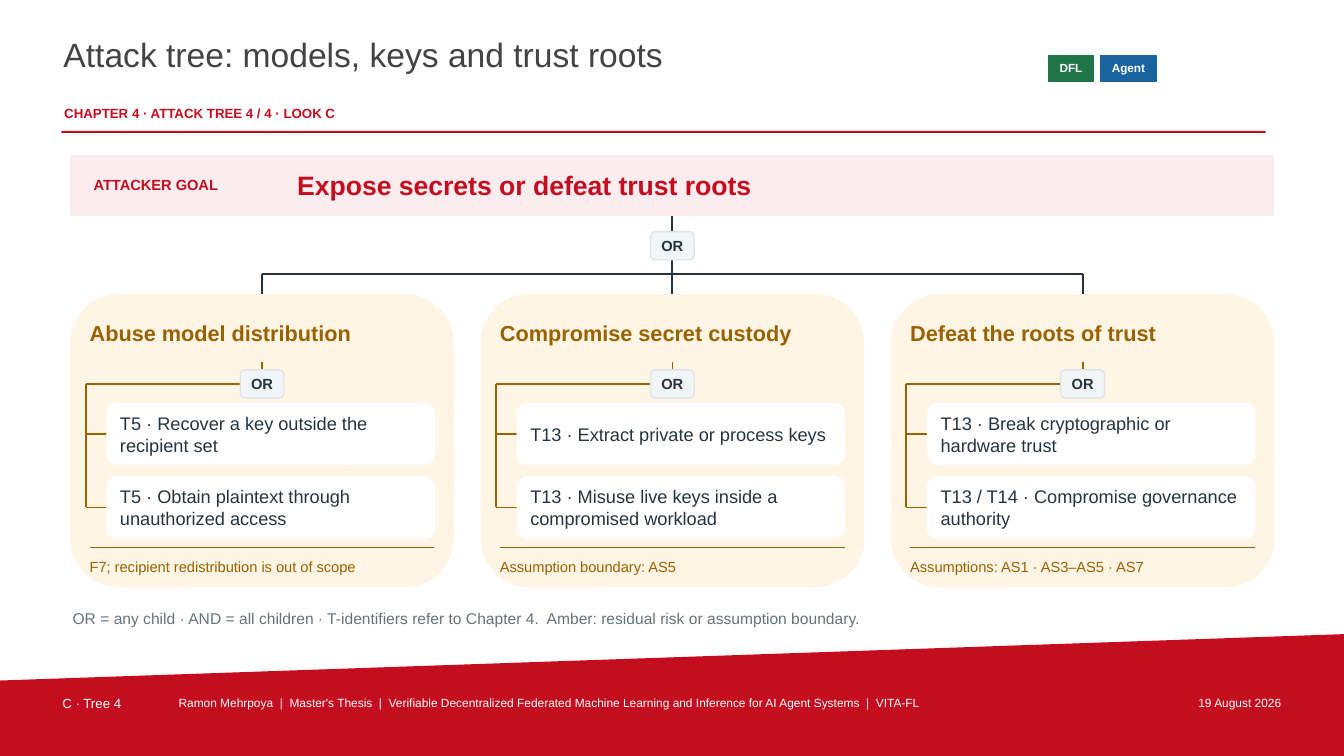
from lxml import etree
from pptx import Presentation
from pptx.dml.color import RGBColor
from pptx.enum.shapes import MSO_CONNECTOR, MSO_SHAPE
from pptx.enum.text import MSO_ANCHOR, MSO_AUTO_SIZE, PP_ALIGN
from pptx.oxml.ns import qn
from pptx.util import Cm, Pt

RECT = MSO_SHAPE.RECTANGLE
ROUND = MSO_SHAPE.ROUNDED_RECTANGLE
STRAIGHT = MSO_CONNECTOR.STRAIGHT
TOP, MIDDLE = MSO_ANCHOR.TOP, MSO_ANCHOR.MIDDLE
LEFT, CENTER, RIGHT = PP_ALIGN.LEFT, PP_ALIGN.CENTER, PP_ALIGN.RIGHT
NONE = MSO_AUTO_SIZE.NONE

RED = RGBColor(0xC4, 0x0D, 0x1E)
PINK = RGBColor(0xFB, 0xEC, 0xEF)
CREAM = RGBColor(0xFF, 0xF5, 0xE5)
AMBER = RGBColor(0x9A, 0x61, 0x00)
INK = RGBColor(0x26, 0x34, 0x40)
GRAY = RGBColor(0x65, 0x73, 0x7D)
DARK = RGBColor(0x43, 0x43, 0x43)
PALE = RGBColor(0xF2, 0xF5, 0xF7)
EDGE = RGBColor(0xDC, 0xE3, 0xE8)
GREEN = RGBColor(0x20, 0x75, 0x48)
BLUE = RGBColor(0x17, 0x64, 0xA1)
WHITE = RGBColor(0xFF, 0xFF, 0xFF)

WIDE, HIGH = 33.87, 19.05
EDGE_X, STEP, CARD_W = 1.78, 10.34, 9.65
CARD_Y, LEAF_Y, LEAF_GAP, LEAF_H = 7.42, 10.16, 1.85, 1.55

CARDS = [
    ("Abuse model distribution",
     ["T5 · Recover a key outside the recipient set",
      "T5 · Obtain plaintext through unauthorized access"],
     "F7; recipient redistribution is out of scope"),
    ("Compromise secret custody",
     ["T13 · Extract private or process keys",
      "T13 · Misuse live keys inside a compromised workload"],
     "Assumption boundary: AS5"),
    ("Defeat the roots of trust",
     ["T13 · Break cryptographic or hardware trust",
      "T13 / T14 · Compromise governance authority"],
     "Assumptions: AS1 · AS3–AS5 · AS7"),
]


class Page:
    face = "Arial"

    def __init__(self, slide):
        self.slide = slide
        self.shapes = slide.shapes

    def label(self, shape, words, size, color, bold=False, align=LEFT,
              anchor=MIDDLE, pad=0.0, side=None):
        side = pad if side is None else side
        frame = shape.text_frame
        look = {"word_wrap": True, "auto_size": NONE,
                "vertical_anchor": anchor,
                "margin_left": Cm(side), "margin_right": Cm(side),
                "margin_top": Cm(pad), "margin_bottom": Cm(pad)}
        for key, value in look.items():
            setattr(frame, key, value)
        part = frame.paragraphs[0]
        part.alignment = align
        run = part.add_run()
        run.text = words
        for key, value in {"name": self.face, "size": Pt(size),
                           "bold": bold}.items():
            setattr(run.font, key, value)
        run.font.color.rgb = color

    def title(self, box, words):
        shape = self.shapes.title
        for key, value in zip(("left", "top", "width", "height"), box):
            setattr(shape, key, Cm(value))
        self.label(shape, words, 24, DARK, anchor=TOP, pad=0.05)

    def text(self, box, words, size, color, **look):
        shape = self.shapes.add_textbox(*map(Cm, box))
        self.label(shape, words, size, color, **look)

    def paint(self, shape, fill, line=None, width=0.5):
        shape.shadow.inherit = False
        shape.fill.solid()
        shape.fill.fore_color.rgb = fill
        if line is None:
            shape.line.fill.background()
        else:
            shape.line.color.rgb = line
            shape.line.width = Pt(width)

    def block(self, kind, box, fill, line=None, width=0.5):
        shape = self.shapes.add_shape(kind, *map(Cm, box))
        self.paint(shape, fill, line, width)
        return shape

    def line(self, x1, y1, x2, y2, color, width):
        wire = self.shapes.add_connector(STRAIGHT, *map(Cm, (x1, y1, x2, y2)))
        wire.line.color.rgb = color
        wire.line.width = Pt(width)
        etree.SubElement(wire._element.spPr, qn("a:effectLst"))

    def wedge(self, points, fill):
        spots = [(Cm(x), Cm(y)) for x, y in points]
        pen = self.shapes.build_freeform(*spots[0])
        pen.add_line_segments(spots[1:], close=True)
        self.paint(pen.convert_to_shape(), fill)

    def badge(self, x, width, words, fill):
        shape = self.block(RECT, (x, 1.4, width, 0.64), fill, fill, 0.55)
        self.label(shape, words, 8.4, WHITE, bold=True, align=CENTER)

    def gate(self, mid, y):
        shape = self.block(ROUND, (mid - 0.55, y, 1.1, 0.71), PALE, EDGE, 0.85)
        self.label(shape, "OR", 10.5, INK, bold=True, align=CENTER)

    def card(self, x, head, leaves, note):
        mid, spine, inner = x + CARD_W / 2, x + 0.38, x + 0.48
        self.block(ROUND, (x, CARD_Y, CARD_W, 7.37), CREAM, CREAM)
        self.text((inner, 7.7, 8.69, 1.35), head, 15.5, AMBER, bold=True)
        ends = [LEAF_Y + i * LEAF_GAP + LEAF_H / 2 for i in range(len(leaves))]
        self.line(mid, 9.12, mid, 9.68, AMBER, 1.2)
        self.line(mid, 9.68, spine, 9.68, AMBER, 1.2)
        self.line(spine, 9.68, spine, ends[-1], AMBER, 1.2)
        for y, words in zip(ends, leaves):
            self.line(spine, y, x + 0.91, y, AMBER, 1.2)
            box = (x + 0.91, y - LEAF_H / 2, 8.26, LEAF_H)
            leaf = self.block(ROUND, box, WHITE, WHITE)
            self.label(leaf, words, 13, INK, side=0.26)
        self.gate(mid, 9.32)
        self.line(inner, 13.79, inner + 8.69, 13.79, AMBER, 0.6)
        self.text((inner, 13.94, 8.69, 0.69), note, 10.5, AMBER)


def main():
    deck = Presentation()
    deck.slide_width, deck.slide_height = Cm(WIDE), Cm(HIGH)
    page = Page(deck.slides.add_slide(deck.slide_layouts[5]))

    page.wedge([(0, 17.15), (WIDE, 15.98), (WIDE, HIGH), (0, HIGH)], RED)
    page.title((1.55, 0.81, 24.51, 1.57),
               "Attack tree: models, keys and trust roots")
    page.text((1.57, 2.59, 24.64, 0.56),
              "CHAPTER 4 · ATTACK TREE 4 / 4 · LOOK C", 9.5, RED,
              bold=True, anchor=TOP, pad=0.05)
    page.block(RECT, (1.55, 3.3, 30.35, 0.05), RED)

    foot = [
        (1.52, 2.79, "C · Tree 4", 9.5, LEFT),
        (4.45, 23.75, "Ramon Mehrpoya  |  Master's Thesis  |  Verifiable "
         "Decentralized Federated Machine Learning and Inference for "
         "AI Agent Systems  |  VITA-FL", 8.5, LEFT),
        (28.45, 3.89, "19 August 2026", 8.5, RIGHT),
    ]
    for x, width, words, size, align in foot:
        page.text((x, 17.48, width, 0.56), words, size, WHITE,
                  align=align, anchor=TOP, pad=0.05)

    page.badge(26.42, 1.14, "DFL", GREEN)
    page.badge(27.74, 1.4, "Agent", BLUE)

    lefts = [EDGE_X + i * STEP for i in range(len(CARDS))]
    mids = [x + CARD_W / 2 for x in lefts]
    page.line(mids[1], 5.44, mids[1], 6.91, INK, 1.3)
    page.line(mids[0], 6.91, mids[-1], 6.91, INK, 1.3)
    for mid in mids:
        page.line(mid, 6.91, mid, CARD_Y, INK, 1.3)

    page.block(RECT, (EDGE_X, 3.91, 30.3, 1.52), PINK, PINK)
    page.text((2.36, 4.37, 4.65, 0.58), "ATTACKER GOAL", 10.5, RED, bold=True)
    page.text((7.49, 4.17, 23.88, 0.99),
              "Expose secrets or defeat trust roots", 19, RED, bold=True)
    page.gate(mids[1], 5.84)

    for x, card in zip(lefts, CARDS):
        page.card(x, *card)

    page.text((1.83, 15.24, 30.23, 0.69),
              "OR = any child · AND = all children · T-identifiers refer to "
              "Chapter 4.  Amber: residual risk or assumption boundary.",
              11.1, GRAY)
    deck.save("out.pptx")


if __name__ == "__main__":
    main()
